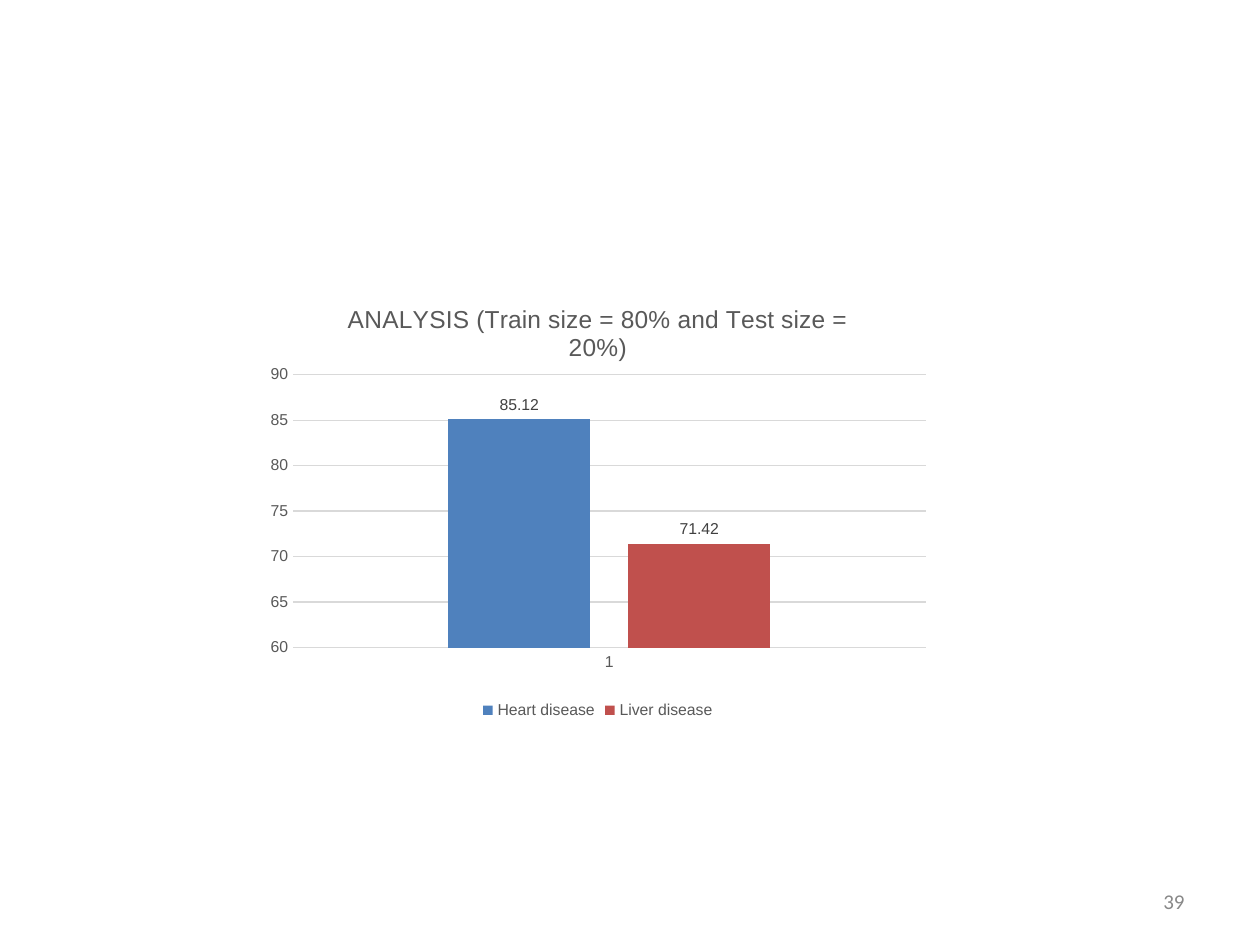
from lxml import etree
from pptx import Presentation
from pptx.chart.data import CategoryChartData
from pptx.dml.color import RGBColor
from pptx.enum.chart import (
    XL_CHART_TYPE as ChartType,
    XL_LABEL_POSITION as LabelPos,
    XL_LEGEND_POSITION as LegendPos,
    XL_TICK_MARK as Tick,
)
from pptx.enum.text import MSO_ANCHOR as Anchor, PP_ALIGN as Align
from pptx.oxml.ns import qn
from pptx.util import Pt

GREY, RULE = "595959", "D9D9D9"
SERIES = [("Heart disease", 85.12, "4F81BD"), ("Liver disease", 71.42, "C0504D")]


def rgb(code):
    return RGBColor.from_string(code)


def style_font(font, size, color, name="Arial"):
    font.size, font.name, font.bold = Pt(size), name, False
    font.color.rgb = rgb(color)


def style_line(line, color):
    line.color.rgb = rgb(color)
    line.width = Pt(0.75)


def set_plot_layout(chart, x, y, w, h):
    """Fix the inner plot area, in fractions of the chart."""
    area = chart._chartSpace.chart.plotArea
    for old in area.findall(qn("c:layout")):
        area.remove(old)
    layout = etree.Element(qn("c:layout"))
    area.insert(0, layout)
    manual = etree.SubElement(layout, qn("c:manualLayout"))
    settings = [("layoutTarget", "inner"), ("xMode", "edge"), ("yMode", "edge"),
                ("x", x), ("y", y), ("w", w), ("h", h)]
    for tag, value in settings:
        etree.SubElement(manual, qn(f"c:{tag}")).set("val", str(value))


def add_analysis_chart(slide, left, top, width, height):
    data = CategoryChartData()
    data.categories = ["1"]
    for name, value, _ in SERIES:
        data.add_series(name, [value])
    chart = slide.shapes.add_chart(
        ChartType.COLUMN_CLUSTERED, Pt(left), Pt(top), Pt(width), Pt(height), data
    ).chart
    style_font(chart.font, 10, "000000")

    # Title
    r = chart.chart_title.text_frame.paragraphs[0].add_run()
    r.text = "ANALYSIS (Train size = 80% and Test size = 20%)"
    style_font(r.font, 14, GREY)
    chart.chart_title.include_in_layout = False

    # Legend
    chart.has_legend = True
    chart.legend.position = LegendPos.BOTTOM
    chart.legend.include_in_layout = False
    style_font(chart.legend.font, 9, GREY)

    # Axes
    for axis in (chart.category_axis, chart.value_axis):
        axis.major_tick_mark = axis.minor_tick_mark = Tick.NONE
        style_font(axis.tick_labels.font, 9, GREY)
    style_line(chart.category_axis.format.line, RULE)
    values = chart.value_axis
    values.minimum_scale, values.maximum_scale, values.major_unit = 60, 90, 5
    values.format.line.fill.background()
    style_line(values.major_gridlines.format.line, RULE)

    # Columns and their labels
    plot = chart.plots[0]
    plot.gap_width, plot.overlap, plot.vary_by_categories = 219, -27, False
    for series, (_, _, color) in zip(plot.series, SERIES):
        series.format.fill.solid()
        series.format.fill.fore_color.rgb = rgb(color)
        labels = series.data_labels
        labels.show_value = True
        labels.position = LabelPos.OUTSIDE_END
        style_font(labels.font, 9, "404040")
    set_plot_layout(chart, 0.061, 0.207, 0.911, 0.619)


def add_page_number(slide, left, top, width, height):
    tf = slide.shapes.add_textbox(Pt(left), Pt(top), Pt(width), Pt(height)).text_frame
    tf.word_wrap = True
    tf.vertical_anchor = Anchor.MIDDLE
    p = tf.paragraphs[0]
    p.alignment = Align.RIGHT
    r = p.add_run()
    r.text = "39"
    style_font(r.font, 12, "888888", "Calibri")


def main():
    prs = Presentation()
    prs.slide_width, prs.slide_height = Pt(720), Pt(540)
    slide = prs.slides.add_slide(prs.slide_layouts[6])
    add_page_number(slide, 516, 500.5, 168, 28.75)
    add_analysis_chart(slide, 143.3, 162, 396.7, 252)
    prs.save("out.pptx")


if __name__ == "__main__":
    main()
